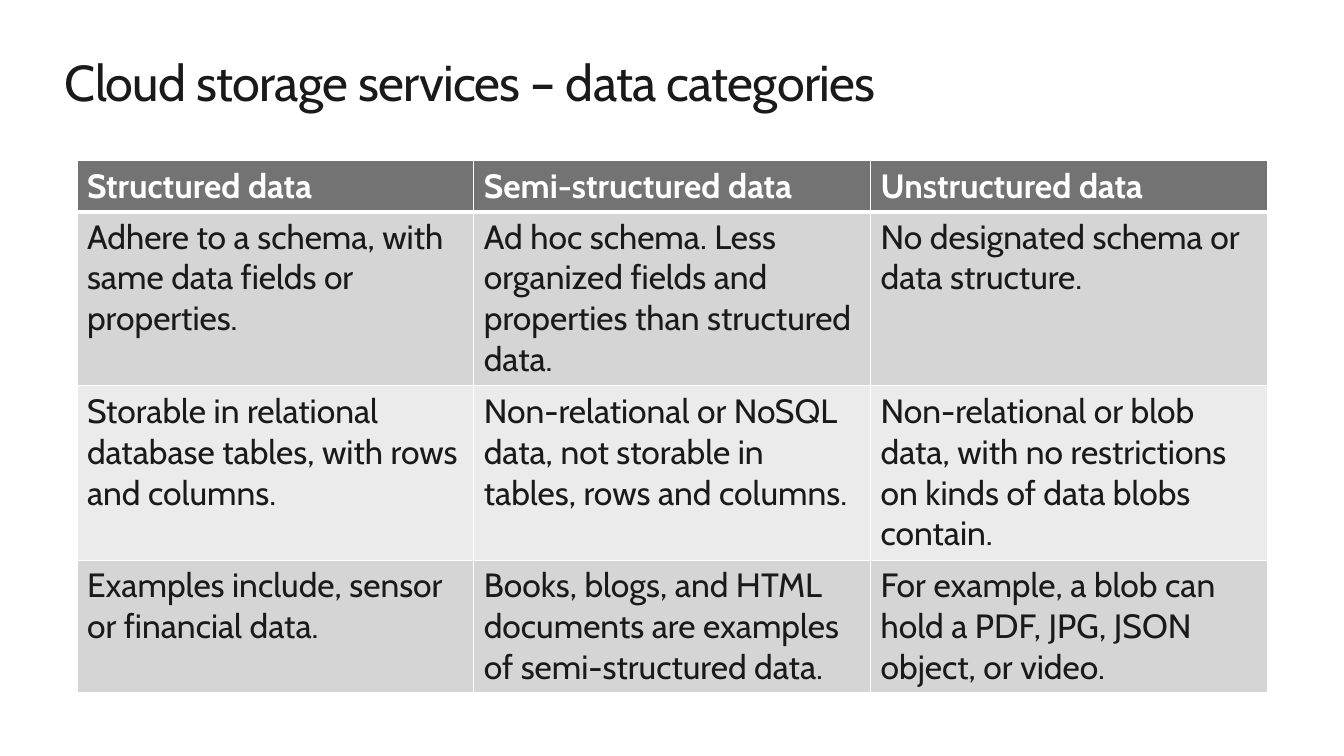
from lxml.etree import SubElement
from pptx import Presentation
from pptx.dml.color import RGBColor
from pptx.enum.text import MSO_ANCHOR as Anchor, PP_ALIGN as Align
from pptx.oxml.ns import qn
from pptx.util import Cm, Pt

FONT = "Cabin"
INK, WHITE = "1A1A1A", "FFFFFF"
HEADER_FILL, BAND_FILLS = "737373", ("D5D5D5", "EBEBEB")
TITLE = "Cloud storage services – data categories"
CATEGORIES = [
    ["Structured data", "Semi-structured data", "Unstructured data"],
    [
        "Adhere to a schema, with same data fields or properties.",
        "Ad hoc schema. Less organized fields and properties than structured data.",
        "No designated schema or data structure.",
    ],
    [
        "Storable in relational database tables, with rows and columns.",
        "Non-relational or NoSQL data, not storable in tables, rows and columns.",
        "Non-relational or blob data, with no restrictions on kinds of data blobs contain.",
    ],
    [
        "Examples include, sensor or financial data.",
        "Books, blogs, and HTML documents are examples of semi-structured data.",
        "For example, a blob can hold a PDF, JPG, JSON object, or video.",
    ],
]
ROW_HEIGHTS = (1.25, 4.39, 4.39, 3.35)


def color(value):
    """Turn a hex string into a colour."""
    return RGBColor.from_string(value)


def write_text(frame, text, size=24, fill=INK, bold=False, spacing=None):
    """Fill a text frame with one formatted run."""
    paragraph = frame.paragraphs[0]
    paragraph.alignment = Align.LEFT
    run = paragraph.add_run()
    run.text = text
    font = run.font
    font.name, font.size, font.bold = FONT, Pt(size), bold
    font.color.rgb = color(fill)
    if spacing is not None:
        font._element.set("spc", str(round(spacing * 100)))


def set_borders(cell, bottom=1):
    """Draw white borders around a cell."""
    properties = cell._tc.get_or_add_tcPr()
    for side, width in (("L", 1), ("R", 1), ("T", 1), ("B", bottom)):
        line = SubElement(properties, qn(f"a:ln{side}"), w=str(Pt(width)))
        fill = SubElement(line, qn("a:solidFill"))
        SubElement(fill, qn("a:srgbClr"), val=WHITE)


def add_title(slide, left, top, width, height):
    """Place and format the slide title."""
    title = slide.shapes.title
    title.left, title.top, title.width, title.height = map(Cm, (left, top, width, height))
    frame = title.text_frame
    frame.margin_left = frame.margin_right = frame.margin_top = frame.margin_bottom = 0
    frame.vertical_anchor = Anchor.MIDDLE
    frame.word_wrap = True
    write_text(frame, TITLE, size=36, spacing=-0.5)


def add_category_table(slide, left, top, width):
    """Add the comparison table with equal columns."""
    shape = slide.shapes.add_table(
        len(CATEGORIES), len(CATEGORIES[0]),
        Cm(left), Cm(top), Cm(width), Cm(sum(ROW_HEIGHTS)),
    )
    table = shape.table
    for row, height in zip(table.rows, ROW_HEIGHTS):
        row.height = Cm(height)
    for row_index, texts in enumerate(CATEGORIES):
        header = row_index == 0
        for column_index, text in enumerate(texts):
            cell = table.cell(row_index, column_index)
            set_borders(cell, bottom=3 if header else 1)
            cell.fill.solid()
            cell.fill.fore_color.rgb = color(
                HEADER_FILL if header else BAND_FILLS[(row_index - 1) % 2]
            )
            write_text(cell.text_frame, text, fill=WHITE if header else INK, bold=header)


def main():
    """Build and save the presentation."""
    presentation = Presentation()
    presentation.slide_width, presentation.slide_height = Cm(33.87), Cm(19.05)
    slide = presentation.slides.add_slide(presentation.slide_layouts[5])
    slide.background.fill.solid()
    slide.background.fill.fore_color.rgb = color(WHITE)
    add_title(slide, 1.63, 1.27, 30.6, 1.55)
    add_category_table(slide, 1.94, 4.05, 30)
    presentation.save("out.pptx")


if __name__ == "__main__":
    main()
